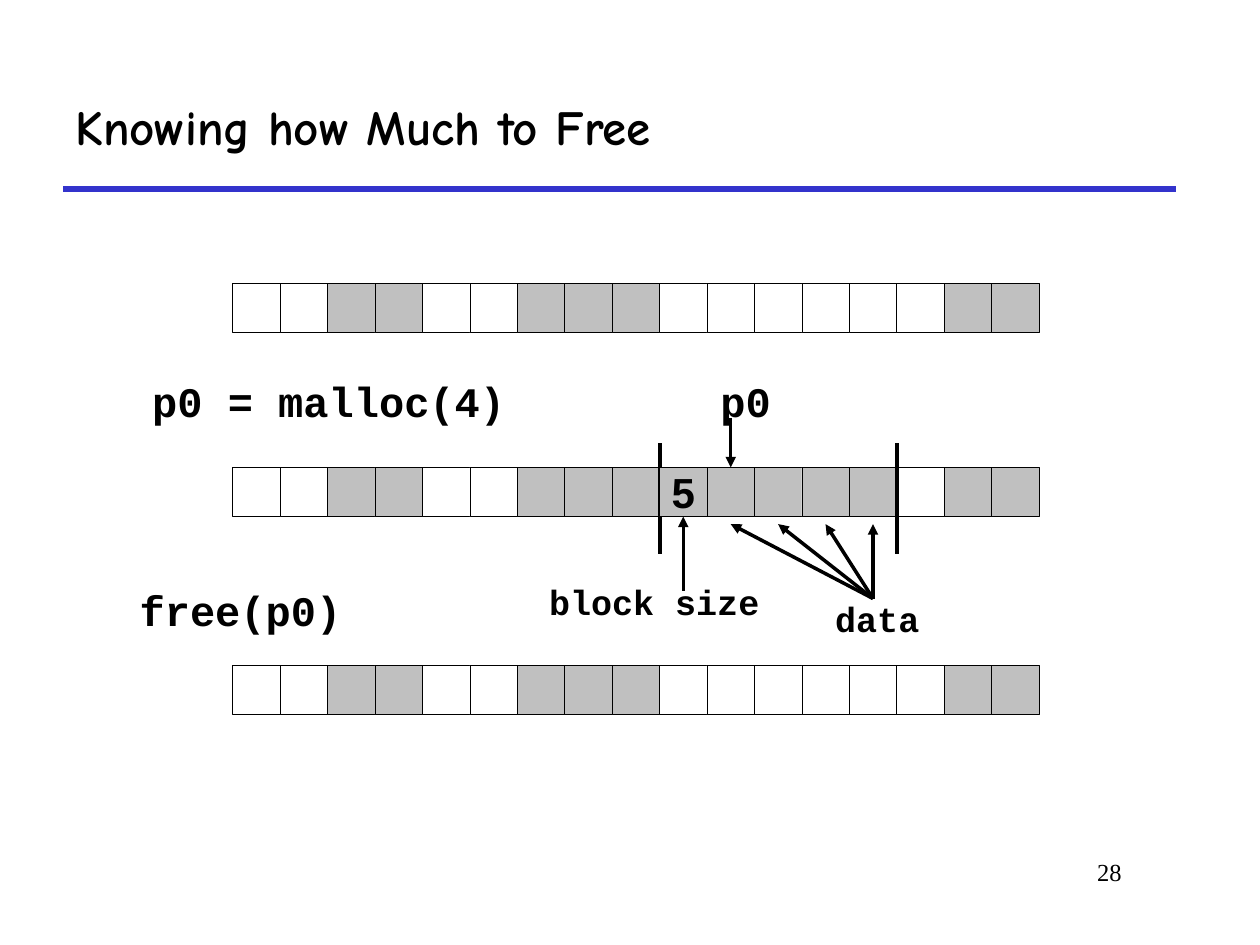
"""Build the slide showing how a header word records the size of a freed block."""
from dataclasses import dataclass

from lxml import etree
from pptx import Presentation
from pptx import util as u
from pptx.dml.color import RGBColor
from pptx.enum import shapes, text
from pptx.oxml.ns import qn


@dataclass(frozen=True)
class Theme:
    black: str = "000000"
    free: str = "FFFFFF"
    used: str = "C0C0C0"
    rule: str = "3333CC"
    title_font: str = "Comic Neue"
    code_font: str = "Courier New"
    cell_font: str = "Arial"
    number_font: str = "Times New Roman"
    title_size: float = 28
    code_size: float = 24
    note_size: float = 20
    number_size: float = 14


@dataclass(frozen=True)
class Label:
    words: str
    left: float
    top: float
    width: float
    height: float
    size: float


@dataclass(frozen=True)
class Line:
    start: tuple[float, float]
    end: tuple[float, float]
    width: float = 2
    color: str = "000000"
    arrow: bool = True


@dataclass(frozen=True)
class MemoryRow:
    top: float
    cells: str


THEME = Theme()
ROW_LEFT, CELL_WIDTH, CELL_HEIGHT = 133, 27.1, 28.1
BEFORE, ALLOCATED, AFTER = 162, 267.1, 380.2
HEADER, BLOCK_END = 9, 14
DATA_SOURCE_Y, DATA_TIP_Y = 342, 299.5

ROWS = [
    MemoryRow(BEFORE, "..##..###......##"),
    MemoryRow(ALLOCATED, "..##..### ####.##"),
    MemoryRow(AFTER, "..##..###......##"),
]
LABELS = [
    Label("free(p0)", 72.7, 330.5, 129.6, 36, THEME.code_size),
    Label("p0 = malloc(4)", 79.9, 211, 216, 36, THEME.code_size),
    Label("p0", 404.6, 211, 43.2, 36, THEME.code_size),
    Label("block size", 306.7, 328.3, 134.6, 31.7, THEME.note_size),
    Label("data", 470.2, 337.7, 62.6, 31.7, THEME.note_size),
]


def cell_edge(column: int) -> float:
    """Return the left edge of a memory cell."""
    return ROW_LEFT + CELL_WIDTH * column


def cell_center(column: int) -> float:
    """Return the horizontal centre of a memory cell."""
    return cell_edge(column) + CELL_WIDTH / 2


def write(frame, words: str, *, font: str, size: float, bold: bool = True,
          align=text.PP_ALIGN.LEFT, anchor=text.MSO_ANCHOR.TOP, wrap: bool = False) -> None:
    """Write one formatted paragraph into a text frame."""
    frame.word_wrap = wrap
    frame.vertical_anchor = anchor
    para = frame.paragraphs[0]
    para.alignment = align
    span = para.add_run()
    span.text = words
    span.font.name = font
    span.font.size = u.Pt(size)
    span.font.bold = bold
    span.font.color.rgb = RGBColor.from_string(THEME.black)


def draw_label(page, label: Label) -> None:
    """Draw a code label that fits its text."""
    box = page.shapes.add_textbox(*map(u.Pt, (label.left, label.top, label.width, label.height)))
    write(box.text_frame, label.words, font=THEME.code_font, size=label.size)
    box.text_frame.auto_size = text.MSO_AUTO_SIZE.SHAPE_TO_FIT_TEXT


def draw_cell(page, column: int, top: float, fill: str):
    """Draw one word of memory and return its shape."""
    cell = page.shapes.add_shape(
        shapes.MSO_SHAPE.RECTANGLE,
        *map(u.Pt, (cell_edge(column), top, CELL_WIDTH, CELL_HEIGHT)))
    cell.shadow.inherit = False
    cell.fill.solid()
    cell.fill.fore_color.rgb = RGBColor.from_string(fill)
    cell.line.color.rgb = RGBColor.from_string(THEME.black)
    cell.line.width = u.Pt(0.25)
    return cell


def draw_row(page, row: MemoryRow) -> None:
    """Draw a row of memory, leaving a gap for each space."""
    fills = {".": THEME.free, "#": THEME.used}
    for column, state in enumerate(row.cells):
        if state in fills:
            draw_cell(page, column, row.top, fills[state])


def draw_line(page, line: Line) -> None:
    """Draw a straight line, with an arrowhead at its end if asked."""
    connector = page.shapes.add_connector(
        shapes.MSO_CONNECTOR.STRAIGHT, *map(u.Pt, (*line.start, *line.end)))
    connector.line.color.rgb = RGBColor.from_string(line.color)
    connector.line.width = u.Pt(line.width)
    properties = connector._element.spPr
    if line.arrow:
        etree.SubElement(properties.find(qn("a:ln")), qn("a:tailEnd"), type="triangle")
    etree.SubElement(properties, qn("a:effectLst"))


def pointer_lines() -> list[Line]:
    """Return the block limits and the arrows around the allocated block."""
    bars = [Line((cell_edge(column), 253.4), (cell_edge(column), 316.8), 2.25, arrow=False)
            for column in (HEADER, BLOCK_END)]
    size_x, pointer_x = cell_center(HEADER), cell_center(HEADER + 1)
    source = (cell_center(BLOCK_END - 1), DATA_SOURCE_Y)
    data = [Line(source, (cell_center(column), DATA_TIP_Y))
            for column in range(HEADER + 1, BLOCK_END)]
    return [
        *bars,
        Line((size_x, 337.7), (size_x, ALLOCATED + CELL_HEIGHT)),
        Line((pointer_x, 239), (pointer_x, ALLOCATED)),
        *data,
    ]


def main() -> None:
    """Build and save the deck."""
    deck = Presentation()
    deck.slide_width, deck.slide_height = u.Pt(720), u.Pt(540)
    page = deck.slides.add_slide(deck.slide_layouts[5])

    title = page.shapes.title
    title.left, title.top, title.width, title.height = map(u.Pt, (36, 36, 636, 72))
    write(title.text_frame, "Knowing how Much to Free", font=THEME.title_font,
          size=THEME.title_size, anchor=text.MSO_ANCHOR.MIDDLE, wrap=True)
    draw_line(page, Line((36, 108), (672, 108), 3, THEME.rule, arrow=False))

    number = page.shapes.add_textbox(*map(u.Pt, (546, 486, 102, 36)))
    write(number.text_frame, "28", font=THEME.number_font, size=THEME.number_size,
          bold=False, align=text.PP_ALIGN.RIGHT, wrap=True)

    for row in ROWS:
        draw_row(page, row)
    for label in LABELS:
        draw_label(page, label)
    for line in pointer_lines():
        draw_line(page, line)

    header = draw_cell(page, HEADER, ALLOCATED, THEME.used)
    write(header.text_frame, "5", font=THEME.cell_font, size=THEME.code_size,
          align=text.PP_ALIGN.CENTER, anchor=text.MSO_ANCHOR.MIDDLE)
    deck.save("out.pptx")


if __name__ == "__main__":
    main()
